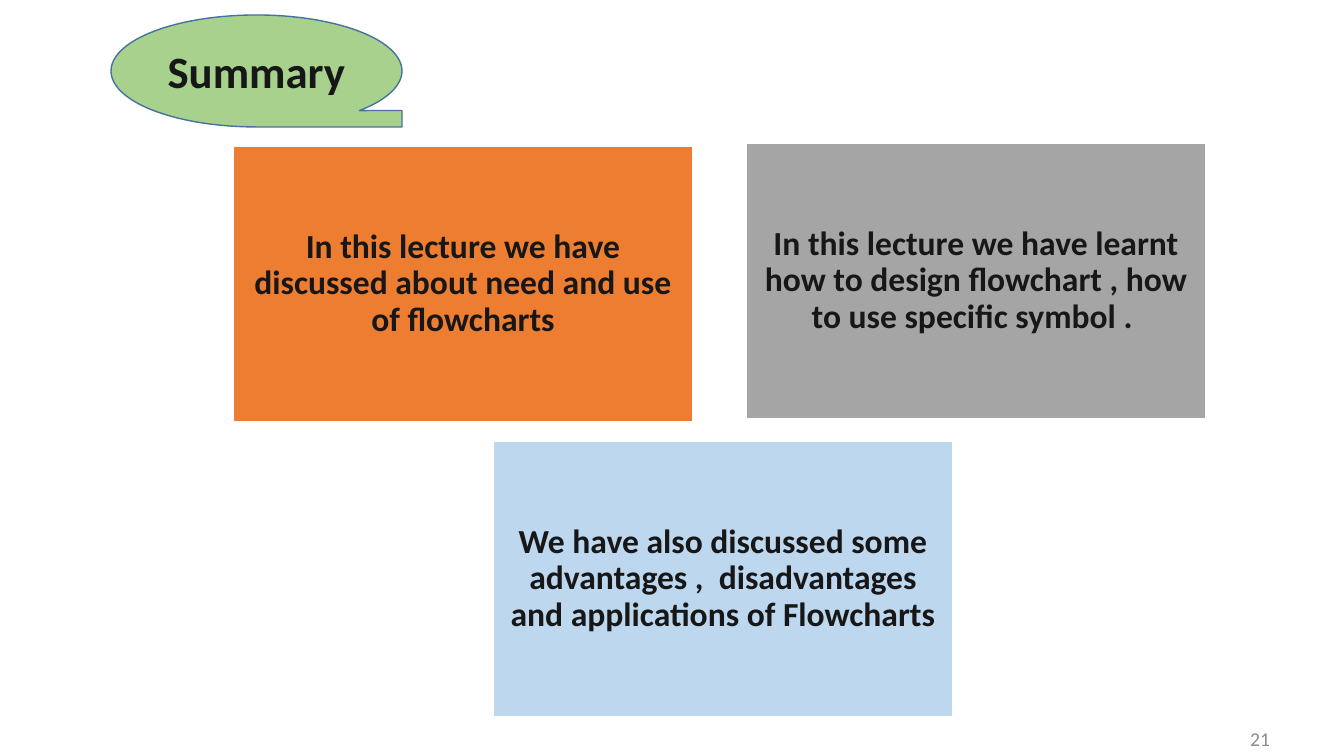
from pptx import Presentation
from pptx.dml.color import RGBColor
from pptx.enum.shapes import MSO_SHAPE as Shape
from pptx.enum.text import MSO_ANCHOR as Anchor, PP_ALIGN as Align
from pptx.util import Emu, Pt

FONT = "Calibri"
INK = RGBColor(0x18, 0x17, 0x17)
MUTED = RGBColor(0x8C, 0x8C, 0x8C)
WHITE = RGBColor(0xFF, 0xFF, 0xFF)
GREEN = RGBColor(0xA9, 0xD1, 0x8E)
BLUE = RGBColor(0x43, 0x73, 0x9E)
ORANGE = RGBColor(0xED, 0x7D, 0x31)
GRAY = RGBColor(0xA5, 0xA5, 0xA5)
LIGHT_BLUE = RGBColor(0xBD, 0xD7, 0xEE)

CARD_WIDTH, CARD_HEIGHT = 460, 276
CARDS = [
    (233, 146, ORANGE, "In this lecture we have discussed about need and use of flowcharts"),
    (746, 143, GRAY, "In this lecture we have learnt how to design flowchart , how to use specific symbol . "),
    (493, 441, LIGHT_BLUE, "We have also discussed some advantages ,  disadvantages and applications of Flowcharts"),
]


def px(count):
    return Emu(round(count * 914400 / 100.8))


def write(box, text, size, color, align=Align.CENTER, bold=True):
    frame = box.text_frame
    frame.text = text
    frame.word_wrap = True
    frame.vertical_anchor = Anchor.MIDDLE
    para = frame.paragraphs[0]
    para.alignment = align
    for span in para.runs:
        span.font.name = FONT
        span.font.size = Pt(size)
        span.font.bold = bold
        span.font.color.rgb = color
    return para


def add_panel(page, kind, left, top, width, height, fill, outline):
    box = page.shapes.add_shape(kind, px(left), px(top), px(width), px(height))
    box.shadow.inherit = False
    box.fill.solid()
    box.fill.fore_color.rgb = fill
    box.line.color.rgb = outline
    box.line.width = Pt(1)
    return box


def add_title(page, text):
    box = add_panel(page, Shape.FLOWCHART_SEQUENTIAL_ACCESS_STORAGE,
                    111, 15, 291, 112, GREEN, BLUE)
    write(box, text, 32, INK)


def add_card(page, left, top, fill, text):
    box = add_panel(page, Shape.RECTANGLE, left, top, CARD_WIDTH, CARD_HEIGHT, fill, WHITE)
    frame = box.text_frame
    frame.margin_left = frame.margin_right = px(10)
    frame.margin_top = frame.margin_bottom = px(10)
    write(box, text, 24, INK).line_spacing = 0.9


def add_page_number(page, text):
    box = page.shapes.add_textbox(px(1054), px(736), px(226), px(5))
    write(box, text, 14, MUTED, Align.RIGHT, False)


def main():
    deck = Presentation()
    deck.slide_width, deck.slide_height = px(1344), px(756)
    page = deck.slides.add_slide(deck.slide_layouts[6])
    add_page_number(page, "21")
    add_title(page, "Summary")
    for card in CARDS:
        add_card(page, *card)
    deck.save("out.pptx")


if __name__ == "__main__":
    main()
